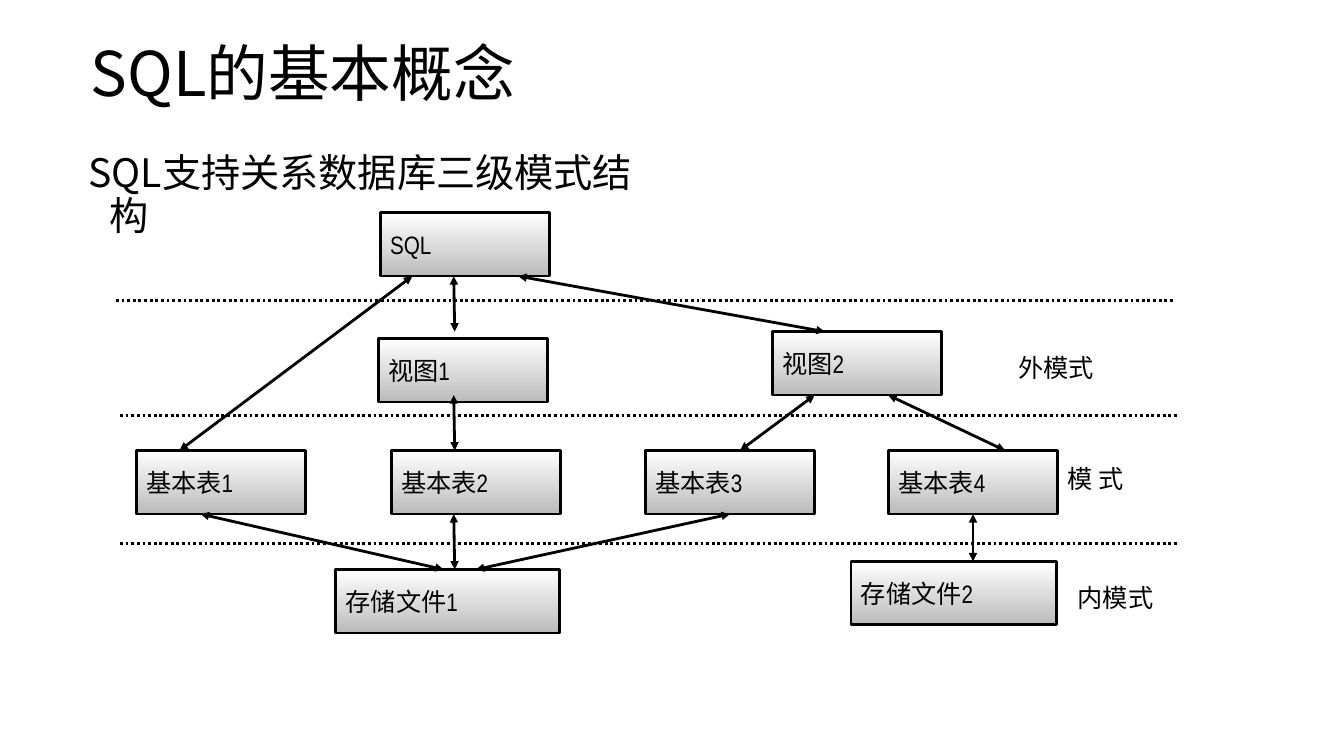
import lxml.etree
import pptx
import pptx.dml.color
import pptx.enum.dml
import pptx.enum.shapes
import pptx.enum.text
import pptx.oxml.ns
import pptx.util

SLIDE_SIZE = (13.33, 7.5)
TITLE = ("SQL的基本概念", (0.8, 0.42, 8.07, 0.68))
SUBTITLE = ("SQL支持关系数据库三级模式结构", (0.78, 1.48, 5.9, 0.53))

# Rows of the diagram: the query language, views, base tables, stored files
FIRST_ROW, ROW_STEP, BOX_HEIGHT = 2.11, 1.18, 0.63
BOX_WIDTH = 1.68

# text, row, left, width, vertical offset from the row
BOXES = [
    ("SQL", 0, 3.77, BOX_WIDTH, 0),
    ("视图2", 1, 7.66, BOX_WIDTH, 0),
    ("视图1", 1, 3.75, BOX_WIDTH, 0.07),
    ("基本表2", 2, 3.88, BOX_WIDTH, 0),
    ("基本表1", 2, 1.35, BOX_WIDTH, 0),
    ("基本表3", 2, 6.4, BOX_WIDTH, 0),
    ("基本表4", 2, 8.81, BOX_WIDTH, 0),
    ("存储文件2", 3, 8.44, 2.04, -0.08),
    ("存储文件1", 3, 3.33, 2.22, 0),
]
# upper row, x at its bottom, lower row, x at its top, offset of the lower end, box joined above
ARROWS = [
    (0, 4.09, 2, 1.78, 0, None),
    (0, 4.5, 1, 4.51, 0, None),
    (1, 4.5, 2, 4.51, 0, None),
    (2, 4.5, 3, 4.51, 0, None),
    (0, 5.14, 1, 8.18, 0, None),
    (1, 8.08, 2, 7.34, 0, None),
    (1, 8.81, 2, 9.97, 0, None),
    (2, 1.99, 3, 4.4, 0, None),
    (2, 7.24, 3, 4.72, 0, "基本表3"),
    (2, 9.65, 3, 9.65, -0.08, "基本表4"),
]
DIVIDER_WIDTH = 10.5
DIVIDERS = [(1.15, 2.98), (1.19, 4.12), (1.19, 5.39)]
LEVELS = [
    ("外模式", (10, 3.45, 2.07, 0.4)),
    ("模 式", (10.49, 4.55, 1.58, 0.4)),
    ("内模式", (10.59, 5.73, 2.07, 0.4)),
]

BLACK = "000000"
CJK_FONT = "Noto Sans CJK SC"
TITLE_FORMAT = {"name": CJK_FONT, "size": pptx.util.Pt(44)}
SUBTITLE_FORMAT = {"name": CJK_FONT, "size": pptx.util.Pt(28)}
LABEL_FORMAT = {"name": "Arial Narrow", "size": pptx.util.Pt(18)}


def inches(*lengths):
    return [pptx.util.Inches(length) for length in lengths]


def color(hex_string):
    return pptx.dml.color.RGBColor.from_string(hex_string)


def add_child(parent, tag, **attributes):
    return lxml.etree.SubElement(parent, pptx.oxml.ns.qn(tag), attributes)


def row_top(row):
    return FIRST_ROW + row * ROW_STEP


def write(shape, text, font_format, anchor="TOP", hanging=0.0, line_spacing=None):
    frame = shape.text_frame
    frame.word_wrap = True
    frame.auto_size = pptx.enum.text.MSO_AUTO_SIZE.NONE
    frame.vertical_anchor = pptx.enum.text.MSO_ANCHOR[anchor]
    paragraph = frame.paragraphs[0]
    paragraph.alignment = pptx.enum.text.PP_ALIGN.LEFT
    paragraph.line_spacing = line_spacing
    if hanging:
        indent = pptx.util.Inches(hanging)
        properties = paragraph._p.get_or_add_pPr()
        properties.set("marL", str(indent))
        properties.set("indent", str(-indent))
    run = paragraph.add_run()
    run.text = text
    for name, value in font_format.items():
        setattr(run.font, name, value)
    run.font.color.rgb = color(BLACK)
    add_child(run._r.get_or_add_rPr(), "a:ea", typeface=CJK_FONT)


def add_box(slide, text, row, left, width, offset):
    shape = slide.shapes.add_shape(
        pptx.enum.shapes.MSO_SHAPE.RECTANGLE,
        *inches(left, row_top(row) + offset, width, BOX_HEIGHT))
    shape.shadow.inherit = False
    shape.fill.gradient()
    shape.fill.gradient_angle = 270
    for stop, shade in zip(shape.fill.gradient_stops, ("FFFFFF", "BBBBBB")):
        stop.color.rgb = color(shade)
    shape.line.color.rgb = color(BLACK)
    shape.line.width = pptx.util.Pt(2)
    write(shape, text, LABEL_FORMAT, "MIDDLE", hanging=0.38)
    return shape


def add_line(slide, *ends):
    connector = slide.shapes.add_connector(
        pptx.enum.shapes.MSO_CONNECTOR.STRAIGHT, *inches(*ends))
    connector.line.color.rgb = color(BLACK)
    connector.line.width = pptx.util.Pt(2)
    add_child(connector._element.spPr, "a:effectLst")
    return connector


def add_text(slide, text, place, font_format, **layout):
    write(slide.shapes.add_textbox(*inches(*place)), text, font_format, **layout)


def main():
    presentation = pptx.Presentation()
    presentation.slide_width, presentation.slide_height = inches(*SLIDE_SIZE)
    slide = presentation.slides.add_slide(presentation.slide_layouts[5])

    title_text, title_place = TITLE
    title = slide.shapes.title
    for name, value in zip(("left", "top", "width", "height"), inches(*title_place)):
        setattr(title, name, value)
    write(title, title_text, TITLE_FORMAT, "MIDDLE", line_spacing=0.9)

    boxes = {box[0]: add_box(slide, *box) for box in BOXES}

    for upper, start_x, lower, end_x, offset, joined in ARROWS:
        arrow = add_line(slide, start_x, row_top(upper) + BOX_HEIGHT,
                         end_x, row_top(lower) + offset)
        if joined:
            arrow.begin_connect(boxes[joined], 2)
        for end in ("a:headEnd", "a:tailEnd"):
            add_child(arrow.line._get_or_add_ln(), end, type="triangle")

    for left, top in DIVIDERS:
        divider = add_line(slide, left, top, left + DIVIDER_WIDTH, top)
        divider.line.dash_style = pptx.enum.dml.MSO_LINE.ROUND_DOT

    for text, place in LEVELS:
        add_text(slide, text, place, LABEL_FORMAT, hanging=0.38)
    add_text(slide, *SUBTITLE, SUBTITLE_FORMAT, hanging=0.21, line_spacing=0.9)

    presentation.save("out.pptx")


if __name__ == "__main__":
    main()
